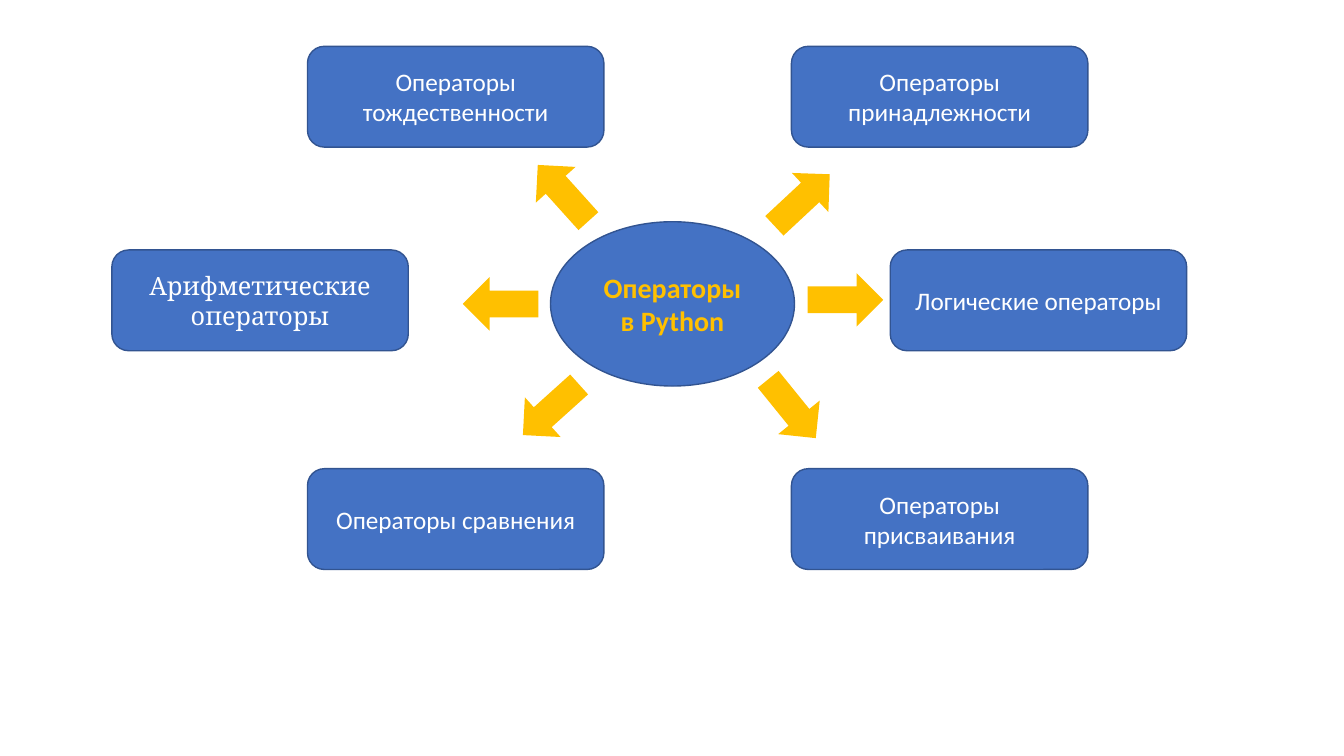
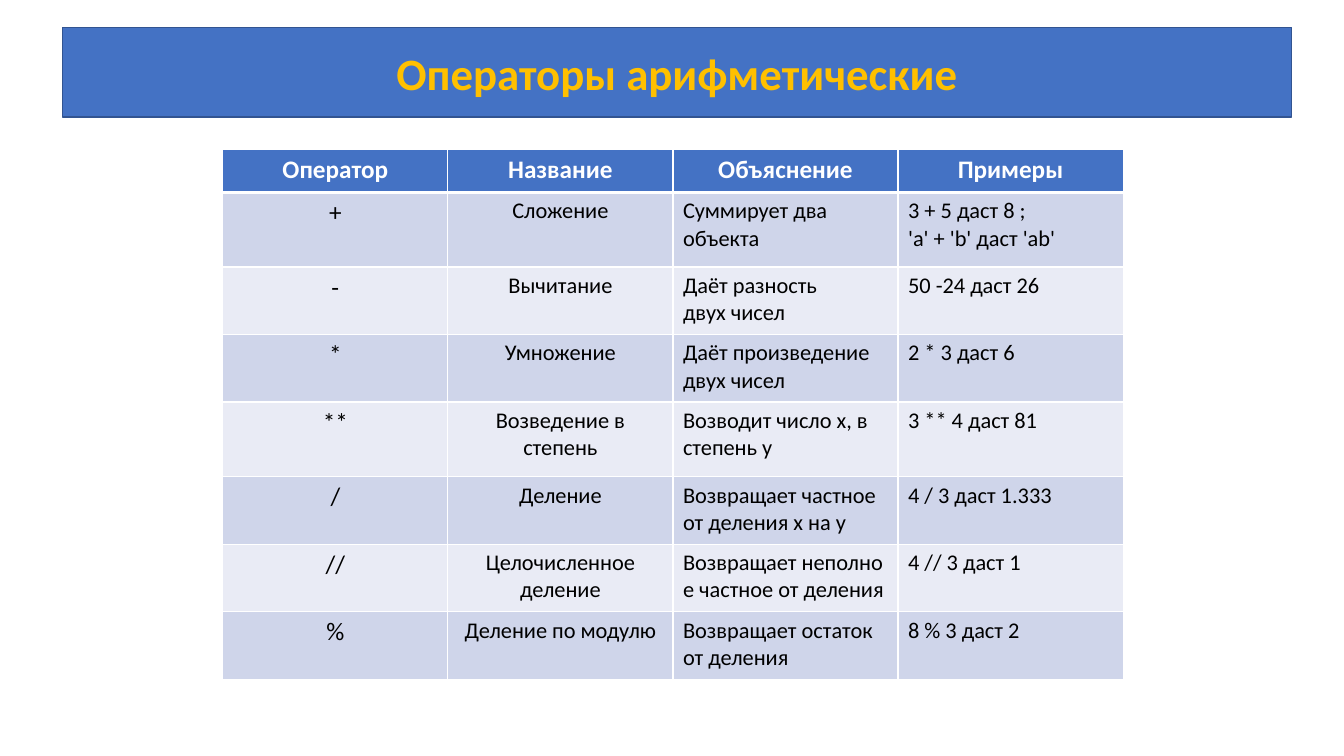
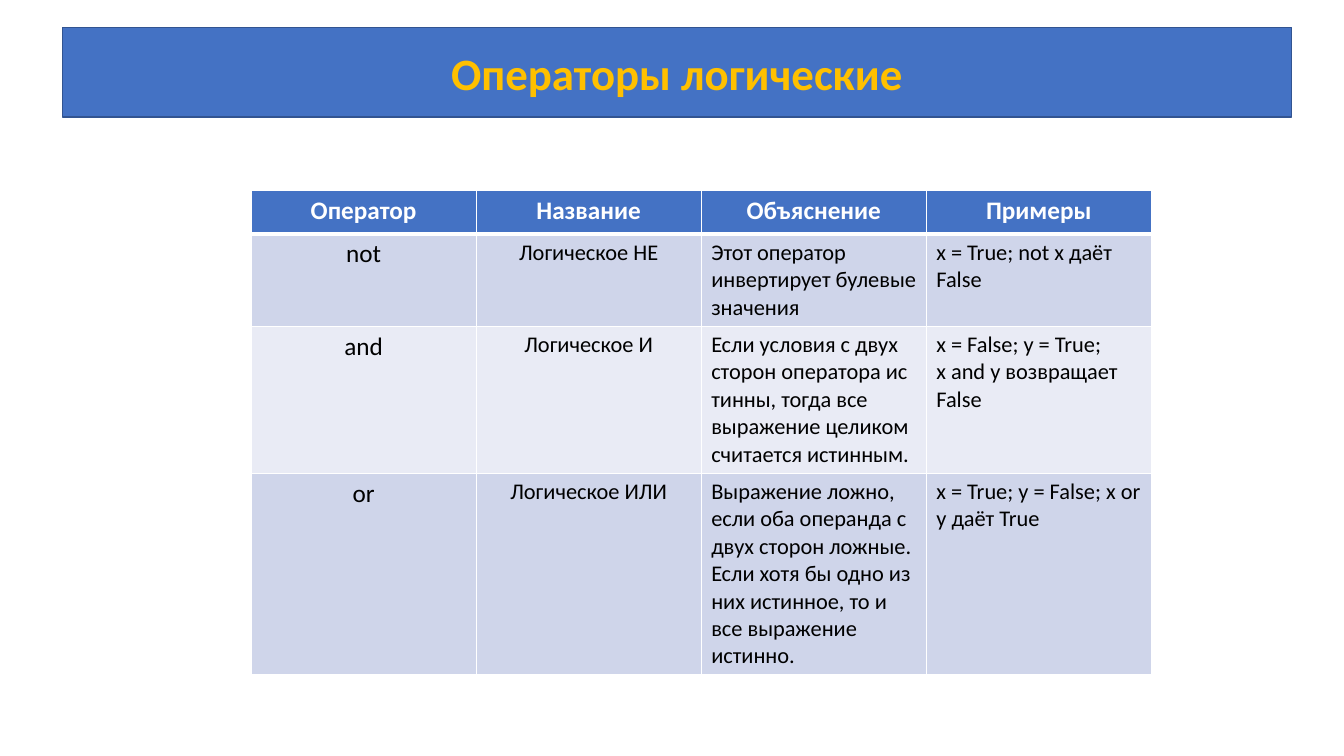
from lxml import etree
from pptx import Presentation
from pptx import util as u
from pptx.dml.color import RGBColor
from pptx.enum import shapes, text
from pptx.oxml import ns

COLORS = {
    "blue": "4472C4",
    "edge": "325491",
    "gold": "FFC000",
    "white": "FFFFFF",
    "black": "000000",
    "dark_band": "CFD5EA",
    "light_band": "E9EBF5",
}
SHAPE = shapes.MSO_SHAPE
CENTER = text.PP_ALIGN.CENTER
LEFT = text.PP_ALIGN.LEFT
HEADER = ["Оператор", "Название", "Объяснение", "Примеры"]


class Deck:
    """Draws the elements of the presentation in one shared style."""

    def __init__(self):
        self.presentation = Presentation()
        self.presentation.slide_width = u.Inches(13.33)
        self.presentation.slide_height = u.Inches(7.5)
        self.slide = None

    def add_slide(self):
        self.slide = self.presentation.slides.add_slide(self.presentation.slide_layouts[6])

    def color(self, name):
        return RGBColor.from_string(COLORS[name])

    def label(self, frame, words, size, color, bold=False, align=CENTER, font="Calibri"):
        frame.text = words
        for paragraph in frame.paragraphs:
            paragraph.alignment = align
            for run in paragraph.runs:
                run.font.name = font
                run.font.size = u.Pt(size)
                run.font.bold = bold
                run.font.color.rgb = self.color(color)

    def shape(self, kind, left, top, width, height, fill="blue", edge="edge"):
        shape = self.slide.shapes.add_shape(
            kind, u.Inches(left), u.Inches(top), u.Inches(width), u.Inches(height))
        shape.shadow.inherit = False
        shape.fill.solid()
        shape.fill.fore_color.rgb = self.color(fill)
        if edge:
            shape.line.color.rgb = self.color(edge)
            shape.line.width = u.Pt(1)
        else:
            shape.line.fill.background()
        return shape

    def hub(self, words):
        ellipse = self.shape(SHAPE.OVAL, 5.46, 2.2, 2.42, 1.63)
        self.label(ellipse.text_frame, words, 20, "gold", bold=True)

    def box(self, words, left, top, font="Calibri"):
        box = self.shape(SHAPE.ROUNDED_RECTANGLE, left, top, 2.94, 1)
        self.label(box.text_frame, words, 18, "white", font=font)

    def arrow(self, left, top, angle):
        arrow = self.shape(SHAPE.RIGHT_ARROW, left, top, 0.75, 0.53, "gold", None)
        arrow.rotation = angle

    def line(self, parent, tag, color, width):
        line = etree.Element(ns.qn(tag), w=str(u.Pt(width)))
        fill = etree.SubElement(line, ns.qn("a:solidFill"))
        etree.SubElement(fill, ns.qn("a:srgbClr"), val=COLORS[color])
        parent.append(line)
        return line

    def title(self, words):
        band = self.shape(SHAPE.RECTANGLE, 0.62, 0.27, 12.19, 0.89)
        self.label(band.text_frame, words, 32, "gold", bold=True)
        properties = band.text_frame.paragraphs[0].runs[0].font._element
        properties.insert(0, self.line(properties, "a:ln", "gold", 1))

    def cell(self, cell, words, row, column):
        properties = cell._tc.get_or_add_tcPr()
        widths = {"L": 1, "R": 1, "T": 3 if row == 1 else 1, "B": 3 if row == 0 else 1}
        for side, width in widths.items():
            self.line(properties, f"a:ln{side}", "white", width)
        cell.fill.solid()
        if row == 0:
            cell.fill.fore_color.rgb = self.color("blue")
            self.label(cell.text_frame, words, 18, "white", bold=True)
        else:
            cell.fill.fore_color.rgb = self.color("dark_band" if row % 2 else "light_band")
            self.label(cell.text_frame, words, 16 if column else 18, "black",
                       align=CENTER if column < 2 else LEFT)

    def table(self, left, top, heights, operators):
        rows = [HEADER] + operators
        table = self.slide.shapes.add_table(
            len(rows), len(HEADER), u.Inches(left), u.Inches(top),
            u.Inches(8.93), u.Inches(sum(heights))).table
        for row, (height, entries) in enumerate(zip(heights, rows)):
            table.rows[row].height = u.Inches(height)
            for column, words in enumerate(entries):
                self.cell(table.cell(row, column), words, row, column)


deck = Deck()

deck.add_slide()
deck.hub("Операторы в Python")
deck.box("Арифметические операторы", 1.11, 2.48, font="Cambria")
for words, left, top in [
    ("Операторы сравнения", 3.05, 4.65),
    ("Операторы присваивания", 7.85, 4.65),
    ("Логические операторы", 8.83, 2.48),
    ("Операторы принадлежности", 7.85, 0.46),
    ("Операторы тождественности", 3.05, 0.46),
]:
    deck.box(words, left, top)
for left, top, angle in [
    (7.58, 1.72, 317), (5.21, 1.65, 228), (8.01, 2.71, 0),
    (4.59, 2.75, 180), (7.48, 3.79, 51), (5.09, 3.8, 138),
]:
    deck.arrow(left, top, angle)

deck.add_slide()
deck.title("Операторы арифметические")
deck.table(2.21, 1.48, [0.43, 0.74, 0.67, 0.67, 0.74, 0.67, 0.67, 0.67], [
    ["+", "Сложение", "Суммирует два\nобъекта", "3 + 5 даст 8 ;\u00a0\n'a' + 'b' даст 'ab'"],
    ["-", "Вычитание", "Даёт разность\nдвух чисел", "50 -24 даст 26"],
    ["*", "Умножение", "Даёт\u00a0произведение\nдвух чисел", "2 * 3 даст 6"],
    ["**", "Возведение в степень", "Возводит число\u00a0x, в степень y", "3 ** 4 даст 81"],
    ["/", "Деление", "Возвращает\u00a0частное от\u00a0деления x на y",
     "4 / 3 даст 1.333"],
    ["//", "Целочисленное\nделение",
     "Возвращает\u00a0неполное\u00a0частное от\u00a0деления", "4 // 3 даст 1"],
    ["%", "Деление по\u00a0модулю", "Возвращает\u00a0остаток от\u00a0деления",
     "8 % 3 даст 2"],
])

deck.add_slide()
deck.title("Операторы логические")
deck.table(2.49, 1.89, [0.43, 0.74, 0.67, 0.67], [
    ["not", "Логическое\u00a0НЕ", "Этот оператор инвертирует булевые значения",
     "x = True; not x даёт False"],
    ["and", "Логическое\u00a0И",
     "Если условия с двух сторон\u00a0оператора\u00a0истинны, "
     "тогда все выражение целиком считается истинным.",
     "x = False; y = True;\nx and y\u00a0возвращает False"],
    ["or", "Логическое ИЛИ",
     "Выражение ложно, если оба операнда с двух сторон ложные. "
     "Если хотя бы одно из них истинное, то и все выражение истинно.",
     "x = True; y = False; x or y даёт\u00a0True"],
])

deck.presentation.save("out.pptx")
